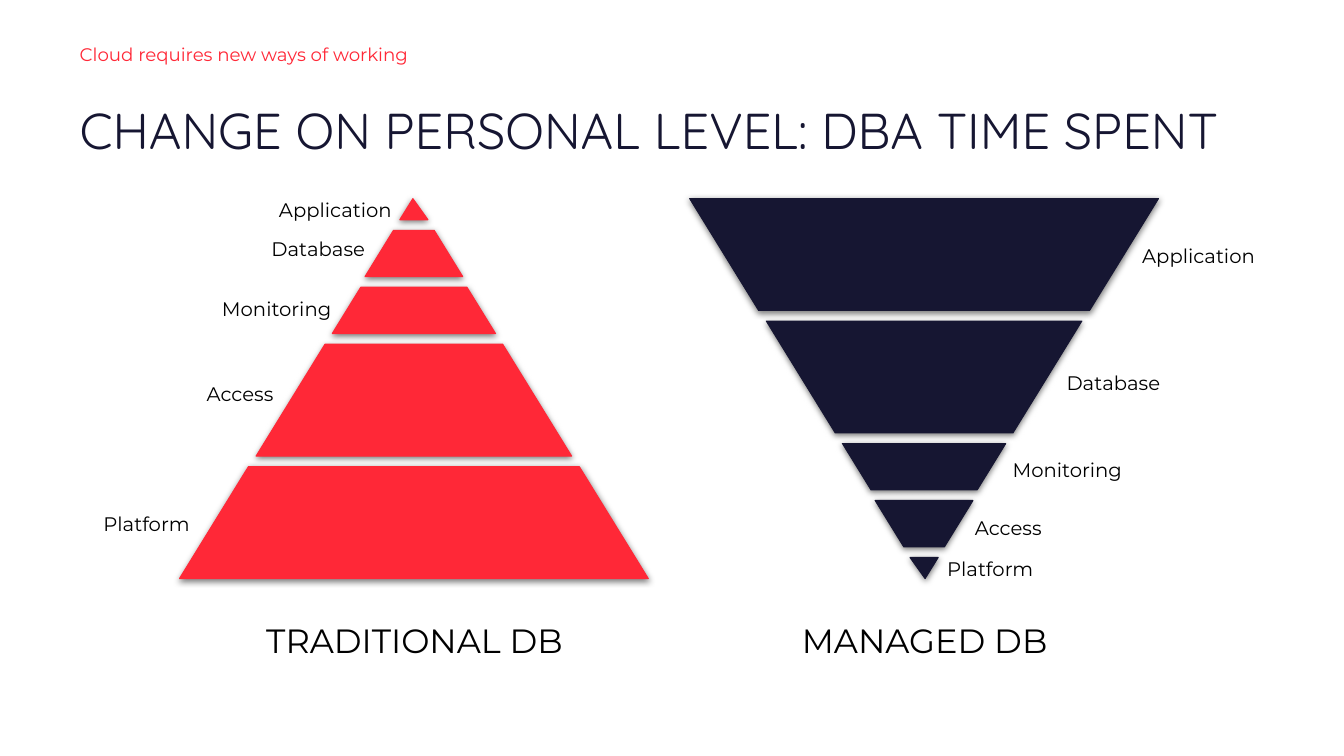
import pptx
import pptx.util
import pptx.dml.color
import pptx.enum.shapes
import pptx.enum.text
import lxml.etree
from dataclasses import dataclass

SCALE = 9144
NS = "http://schemas.openxmlformats.org/drawingml/2006/main"
ALIGN = pptx.enum.text.PP_ALIGN
ANCHOR = pptx.enum.text.MSO_ANCHOR
SHAPE = pptx.enum.shapes.MSO_SHAPE


@dataclass(frozen=True)
class Theme:
    red: str = "FF2837"
    navy: str = "161632"
    black: str = "000000"
    head: str = "Quicksand"
    body: str = "Montserrat"
    title: int = 36
    caption: int = 24
    label: int = 14
    kicker: int = 13


THEME = Theme()
TIERS = [(28, 21), (97, 46), (162, 46), (313, 111), (465, 111)]
SIZES = {"Application": (137, 34), "Database": (114, 39)}
LEFT = [("Application", 2, 1), ("Database", 10, -5), ("Monitoring", 9, -2),
        ("Access", 27, -6), ("Platform", 20, 1)]
RIGHT = [("Platform", 1, 1), ("Access", 8, 4), ("Monitoring", 3, 3),
         ("Database", 25, 6), ("Application", 26, 1)]


def px(*vals):
    return [pptx.util.Emu(round(val * SCALE)) for val in vals]


def color(code):
    return pptx.dml.color.RGBColor.from_string(code)


def put_text(slide, text, box, size, ink=THEME.black, font=THEME.body,
             align=ALIGN.LEFT, anchor=ANCHOR.MIDDLE, pad=(10, 10, 10, 10), space=1.0):
    frame = slide.shapes.add_textbox(*px(*box)).text_frame
    frame.word_wrap = True
    frame.vertical_anchor = anchor
    (frame.margin_left, frame.margin_top,
     frame.margin_right, frame.margin_bottom) = px(*pad)
    para = frame.paragraphs[0]
    para.alignment = align
    para.line_spacing = space
    run = para.add_run()
    run.text = text
    run.font.name = font
    run.font.size = pptx.util.Pt(size)
    run.font.color.rgb = color(ink)


def add_shade(shape):
    shape.shadow.inherit = False
    list_el = shape._element.spPr.find(f"{{{NS}}}effectLst")
    shade = lxml.etree.SubElement(
        list_el, f"{{{NS}}}outerShdw", blurRad=str(pptx.util.Pt(4.5)),
        dist=str(pptx.util.Pt(1.5)), dir="5400000", rotWithShape="0")
    tint = lxml.etree.SubElement(shade, f"{{{NS}}}srgbClr", val=THEME.black)
    lxml.etree.SubElement(tint, f"{{{NS}}}alpha", val="50000")


def put_tier(group, box, first, fill, flip):
    kind = SHAPE.ISOSCELES_TRIANGLE if first else SHAPE.TRAPEZOID
    tier = group.shapes.add_shape(kind, *px(*box))
    tier.adjustments[0] = 0.465 if first else 0.616
    tier.rotation = 180 if flip else 0
    tier.fill.solid()
    tier.fill.fore_color.rgb = color(fill)
    tier.line.color.rgb = color(fill)
    tier.line.width = pptx.util.Pt(0.75)
    add_shade(tier)


def put_stack(slide, box, caption, labels, fill, flip=False):
    left, top, width, height = box
    mid = left + width / 2
    gap = (height - sum(high for _, high in TIERS)) / (len(TIERS) - 1)
    group = slide.shapes.add_group_shape()
    down = 0
    for step, ((wide, high), (name, lap, drop)) in enumerate(zip(TIERS, labels)):
        y = top + (height - down - high if flip else down)
        put_tier(group, (mid - wide / 2, y, wide, high), step == 0, fill, flip)
        span, tall = SIZES.get(name, (167, 39))
        x = mid + wide / 2 - lap if flip else mid - wide / 2 + lap - span
        put_text(slide, name, (x, y + (high - tall) / 2 + drop, span, tall),
                 THEME.label, align=ALIGN.LEFT if flip else ALIGN.RIGHT)
        down += high + gap
    put_text(slide, caption, (mid - 162, top + height + 21, 325, 80),
             THEME.caption, align=ALIGN.CENTER)


def put_head(slide, box):
    left, top, width, _ = box
    put_text(slide, "Cloud requires new ways of working", (left, top, 551, 39),
             THEME.kicker, ink=THEME.red, anchor=ANCHOR.TOP,
             pad=(0, 0, 0, 10), space=0.9)
    put_text(slide, "CHANGE ON PERSONAL LEVEL: DBA TIME SPENT",
             (left, top + 53, width, 79), THEME.title, ink=THEME.navy,
             font=THEME.head, anchor=ANCHOR.TOP, pad=(0, 0, 0, 0))


def main():
    deck = pptx.Presentation()
    deck.slide_width, deck.slide_height = px(1333, 750)
    slide = deck.slides.add_slide(deck.slide_layouts[6])
    put_head(slide, (79, 45, 1181, 132))
    put_stack(slide, (178, 197, 465, 377), "TRADITIONAL DB", LEFT, THEME.red)
    put_stack(slide, (684, 197, 465, 377), "MANAGED DB", RIGHT, THEME.navy, flip=True)
    deck.save("out.pptx")


if __name__ == "__main__":
    main()
